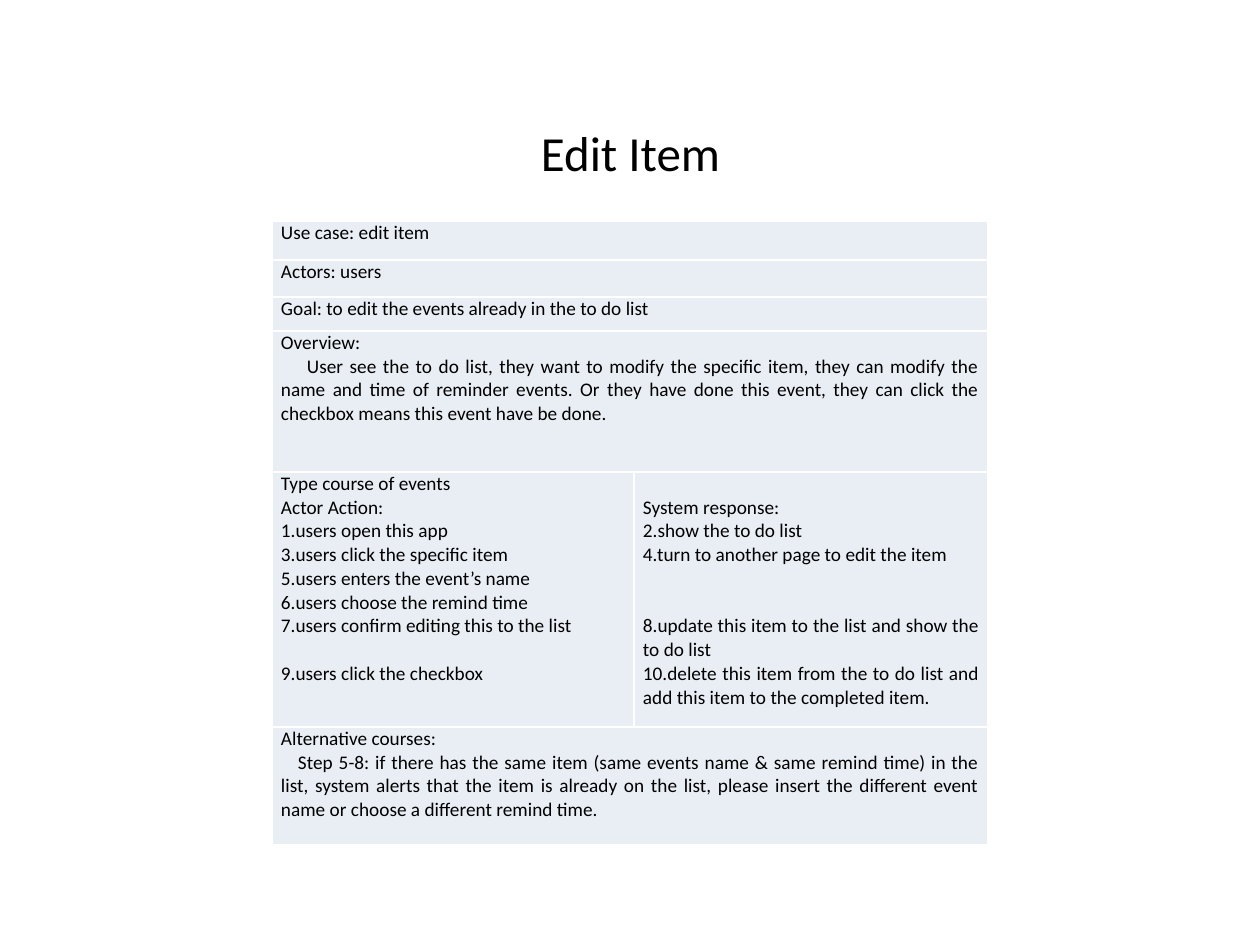
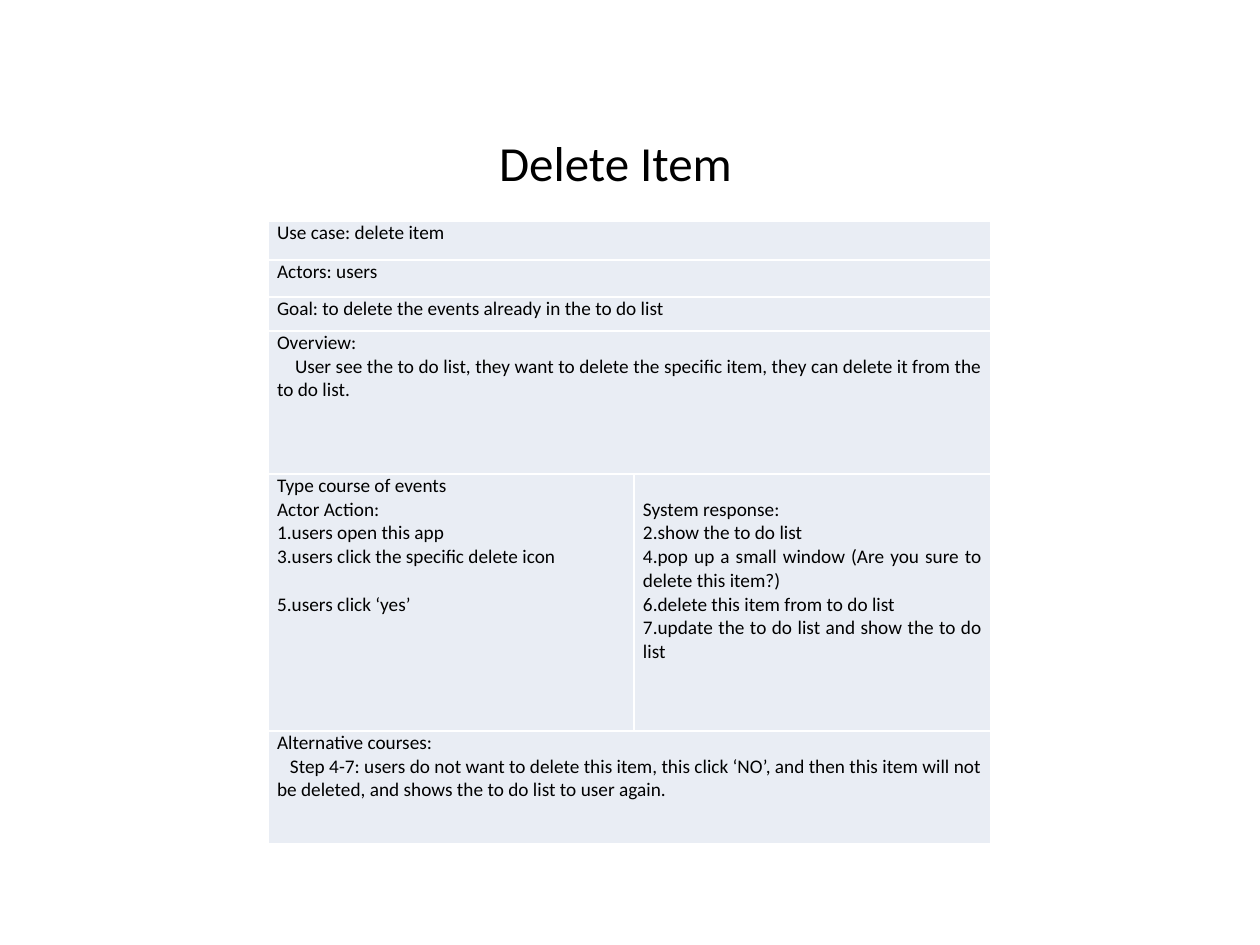
import pptx
import pptx.util
import pptx.dml.color
import pptx.enum.text
import pptx.oxml
import pptx.oxml.ns

SCALE = 914400 / 126
FONT = "Calibri"
COLORS = {"text": "000000", "cell": "E9EDF4", "line": "FFFFFF"}
SIZES = {"title": 28, "cell": 11}
LINE = 13.55  # height in points of one line of cell text
PAD = 9       # side margin of a cell in px

PAGES = [
    {
        "title": "Edit Item",
        "head": (527, 116, 207, 72),
        "grid": (272, 221),
        "cols": [362, 354],
        "rows": [39, 37, 34, 141, 255, 118],
        "facts": ["Use case: edit item", "Actors: users",
                  "Goal: to edit the events already in the to do list"],
        "view": "User see the to do list, they want to modify the specific item, "
                "they can modify the name and time of reminder events. Or they have "
                "done this event, they can click the checkbox means this event have "
                "be done.",
        "acts": ["1.users open this app", "3.users click the specific item",
                 "5.users enters the event’s name", "6.users choose the remind time",
                 "7.users confirm editing this to the list", "",
                 "9.users click the checkbox"],
        "replies": ["2.show the to do list", "4.turn to another page to edit the item",
                    "", "", "8.update this item to the list and show the to do list",
                    "10.delete this item from the to do list and add this item to the "
                    "completed item."],
        "other": "Step 5-8: if there has the same item (same events name & same remind "
                 "time) in the list, system alerts that the item is already on the "
                 "list, please insert the different event name or choose a different "
                 "remind time.",
        "indents": (26, 17),
    },
    {
        "title": "Delete Item",
        "head": (485, 126, 261, 72),
        "grid": (268, 221),
        "cols": [366, 357],
        "rows": [39, 37, 34, 143, 257, 113],
        "facts": ["Use case: delete item", "Actors: users",
                  "Goal: to delete the events already in the to do list"],
        "view": "User see the to do list, they want to delete the specific item, they "
                "can delete it from the to do list.",
        "acts": ["1.users open this app", "3.users click the specific delete icon", "",
                 "5.users click ‘yes’"],
        "replies": ["2.show the to do list",
                    "4.pop up a small window (Are you sure to delete this item?)",
                    "6.delete this item from to do list",
                    "7.update the to do list and show the to do list"],
        "other": "Step 4-7: users do not want to delete this item, this click ‘NO’, and "
                 "then this item will not be deleted, and shows the to do list to user "
                 "again.",
        "indents": (18, 13),
    },
]


def px(num):
    return pptx.util.Emu(round(num * SCALE))


def color(name):
    return pptx.dml.color.RGBColor.from_string(COLORS[name])


def style(para, kind, align):
    para.alignment = align
    for run in para.runs:
        run.font.name = FONT
        run.font.size = pptx.util.Pt(SIZES[kind])
        run.font.color.rgb = color("text")


def add_title(slide, text, box):
    title = slide.shapes.title
    title.left, title.top, title.width, title.height = map(px, box)
    frame = title.text_frame
    frame.text = text
    frame.word_wrap = False
    frame.auto_size = pptx.enum.text.MSO_AUTO_SIZE.SHAPE_TO_FIT_TEXT
    frame.vertical_anchor = pptx.enum.text.MSO_ANCHOR.MIDDLE
    style(frame.paragraphs[0], "title", pptx.enum.text.PP_ALIGN.CENTER)


def paint(cell):
    """Give a cell its margins, white borders and fill."""
    cell.margin_left = cell.margin_right = px(PAD)
    cell.margin_top = cell.margin_bottom = 0
    props = cell._tc.get_or_add_tcPr()
    for side in ("lnL", "lnR", "lnT", "lnB"):
        props.append(pptx.oxml.parse_xml(
            f'<a:{side} {pptx.oxml.ns.nsdecls("a")} w="12700"><a:solidFill>'
            f'<a:srgbClr val="{COLORS["line"]}"/></a:solidFill></a:{side}>'))
    cell.fill.solid()
    cell.fill.fore_color.rgb = color("cell")


def write(cell, lines, indent=0):
    """Fill a cell; an empty line becomes space above the next one."""
    frame = cell.text_frame
    para, gap = None, 0
    for line in lines:
        if not line:
            gap += LINE
            continue
        if para is None:
            para = frame.paragraphs[0]
            cell.margin_top = pptx.util.Pt(gap)
        else:
            para = frame.add_paragraph()
            para.space_before = pptx.util.Pt(gap)
        para.text = line
        style(para, "cell", pptx.enum.text.PP_ALIGN.JUSTIFY)
        gap = 0
    if indent:
        para._p.get_or_add_pPr().set("indent", str(px(indent)))


def add_grid(slide, page):
    cols, rows = page["cols"], page["rows"]
    box = (*page["grid"], sum(cols), sum(rows))
    table = slide.shapes.add_table(len(rows), len(cols), *map(px, box)).table
    table.first_row = table.horz_banding = False
    for col, width in zip(table.columns, cols):
        col.width = px(width)
    for row, height in zip(table.rows, rows):
        row.height = px(height)
    for cell in table.iter_cells():
        paint(cell)

    # Every row but the course of events spans both columns
    course = 4
    for num in range(len(rows)):
        if num != course:
            table.cell(num, 0).merge(table.cell(num, 1))

    for num, fact in enumerate(page["facts"]):
        write(table.cell(num, 0), [fact])
    first, last = page["indents"]
    write(table.cell(3, 0), ["Overview:", page["view"]], first)
    write(table.cell(course, 0),
          ["Type course of events", "Actor Action:", *page["acts"]])
    write(table.cell(course, 1), ["", "System response:", *page["replies"]])
    write(table.cell(5, 0), ["Alternative courses:", page["other"]], last)


def main():
    deck = pptx.Presentation()
    deck.slide_width, deck.slide_height = px(1260), px(945)
    for page in PAGES:
        slide = deck.slides.add_slide(deck.slide_layouts[5])
        add_grid(slide, page)
        add_title(slide, page["title"], page["head"])
    deck.save("out.pptx")


if __name__ == "__main__":
    main()
